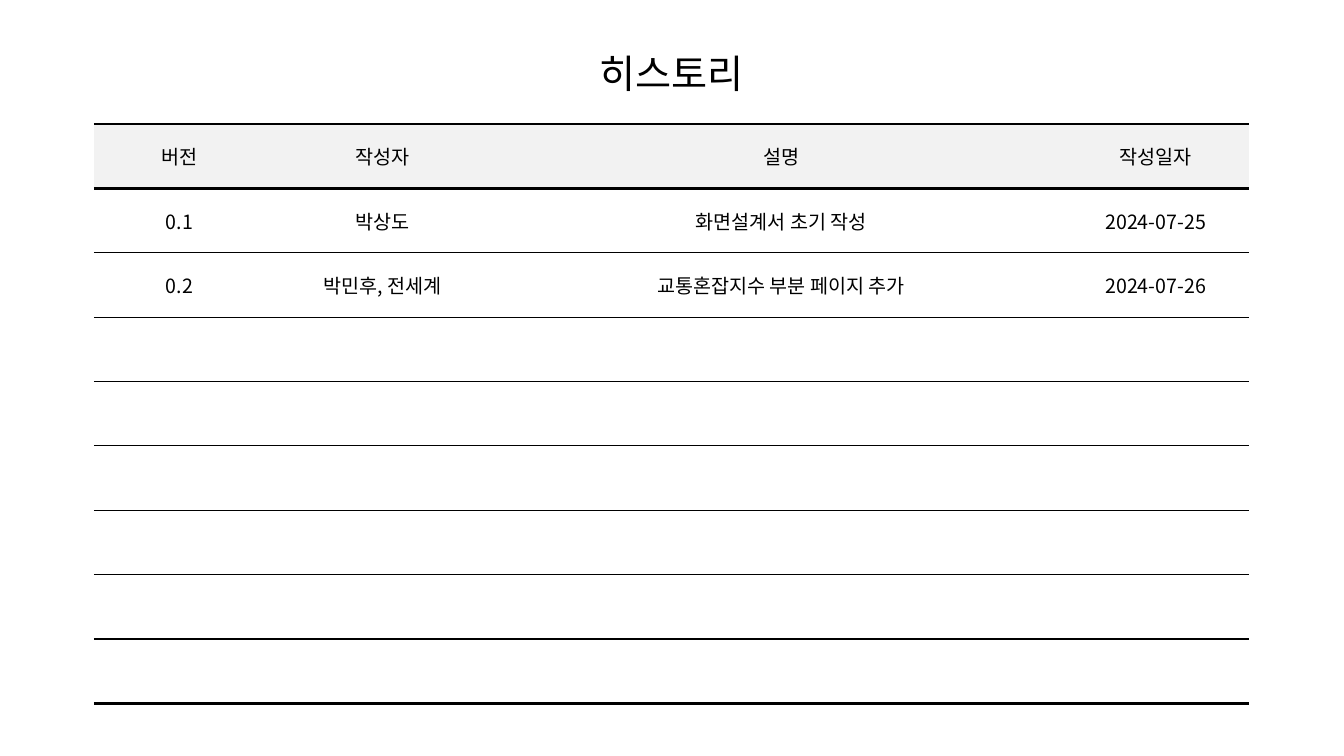
"""Build the document history slide with its version table."""
from dataclasses import astuple, dataclass
from typing import Any

from lxml import etree
from pptx import Presentation
from pptx import util as u
from pptx.dml import color
from pptx.enum import text
from pptx.oxml import ns

FONT = "Noto Sans CJK KR"
BLACK = "000000"
HEADER_FILL = "F2F2F2"
NO_STYLE = "{2D5ABB26-0587-4C30-8999-92F81FD0307C}"
COLUMN_WIDTHS = (122.4, 167.76, 401.76, 133.2)
ROW_COUNT = 9
ROW_HEIGHT = 46
THICK, THIN = 2.25, 1


@dataclass
class Version:
    number: str
    authors: str
    description: str
    date: str


HISTORY = [
    Version("버전", "작성자", "설명", "작성일자"),
    Version("0.1", "박상도", "화면설계서 초기 작성", "2024-07-25"),
    Version("0.2", "박민후, 전세계", "교통혼잡지수 부분 페이지 추가", "2024-07-26"),
]


def rgb(value: str) -> color.RGBColor:
    return color.RGBColor.from_string(value)


def apply(target: Any, values: dict[str, Any]) -> None:
    for name, value in values.items():
        setattr(target, name, value)


def write(paragraph: Any, words: str, size: float) -> None:
    paragraph.alignment = text.PP_ALIGN.CENTER
    run = paragraph.add_run()
    run.text = words
    apply(run.font, {"size": u.Pt(size), "name": FONT, "bold": False})
    run.font.color.rgb = rgb(BLACK)
    etree.SubElement(run.font._element, ns.qn("a:ea"), typeface=FONT)


def set_border(cell: Any, side: str, width: float) -> None:
    properties = cell._tc.get_or_add_tcPr()
    line = etree.SubElement(properties, ns.qn(f"a:ln{side}"), w=str(u.Pt(width)))
    if width:
        fill = etree.SubElement(line, ns.qn("a:solidFill"))
        etree.SubElement(fill, ns.qn("a:srgbClr"), val=BLACK)
    else:
        etree.SubElement(line, ns.qn("a:noFill"))


def edge_width(edge: int) -> float:
    return THICK if edge in (0, 1, ROW_COUNT) else THIN


def format_cell(cell: Any, row: int) -> None:
    cell.vertical_anchor = text.MSO_ANCHOR.MIDDLE
    borders = {"L": 0, "R": 0, "T": edge_width(row), "B": edge_width(row + 1)}
    for side, width in borders.items():
        set_border(cell, side, width)
    if row == 0:
        cell.fill.solid()
        cell.fill.fore_color.rgb = rgb(HEADER_FILL)
    else:
        cell.fill.background()


def add_title(slide: Any, words: str) -> None:
    title = slide.shapes.title
    apply(title, {"left": u.Pt(360), "top": u.Pt(21.6),
                  "width": u.Pt(240), "height": u.Pt(47.5)})
    frame = title.text_frame
    apply(frame, {"margin_left": 0, "margin_right": 0, "margin_top": 0,
                  "margin_bottom": 0, "word_wrap": True,
                  "vertical_anchor": text.MSO_ANCHOR.TOP,
                  "auto_size": text.MSO_AUTO_SIZE.SHAPE_TO_FIT_TEXT})
    paragraph = frame.paragraphs[0]
    apply(paragraph, {"line_spacing": 1.4, "space_before": u.Pt(0)})
    write(paragraph, words, 28)


def add_history(slide: Any, versions: list[Version]) -> None:
    shape = slide.shapes.add_table(
        ROW_COUNT, len(COLUMN_WIDTHS), u.Pt(67), u.Pt(88.6),
        u.Pt(sum(COLUMN_WIDTHS)), u.Pt(ROW_COUNT * ROW_HEIGHT))
    table = shape.table
    apply(table, {"first_row": False, "horz_banding": False})
    table._tbl.tblPr.find(ns.qn("a:tableStyleId")).text = NO_STYLE
    for column, width in zip(table.columns, COLUMN_WIDTHS):
        column.width = u.Pt(width)
    for index, row in enumerate(table.rows):
        row.height = u.Pt(ROW_HEIGHT)
        for cell in row.cells:
            format_cell(cell, index)
    for row, version in zip(table.rows, versions):
        for cell, words in zip(row.cells, astuple(version)):
            write(cell.text_frame.paragraphs[0], words, 14)


def main() -> None:
    presentation = Presentation()
    apply(presentation, {"slide_width": u.Pt(960), "slide_height": u.Pt(540)})
    slide = presentation.slides.add_slide(presentation.slide_layouts[5])
    add_title(slide, "히스토리")
    add_history(slide, HISTORY)
    presentation.save("out.pptx")


if __name__ == "__main__":
    main()
